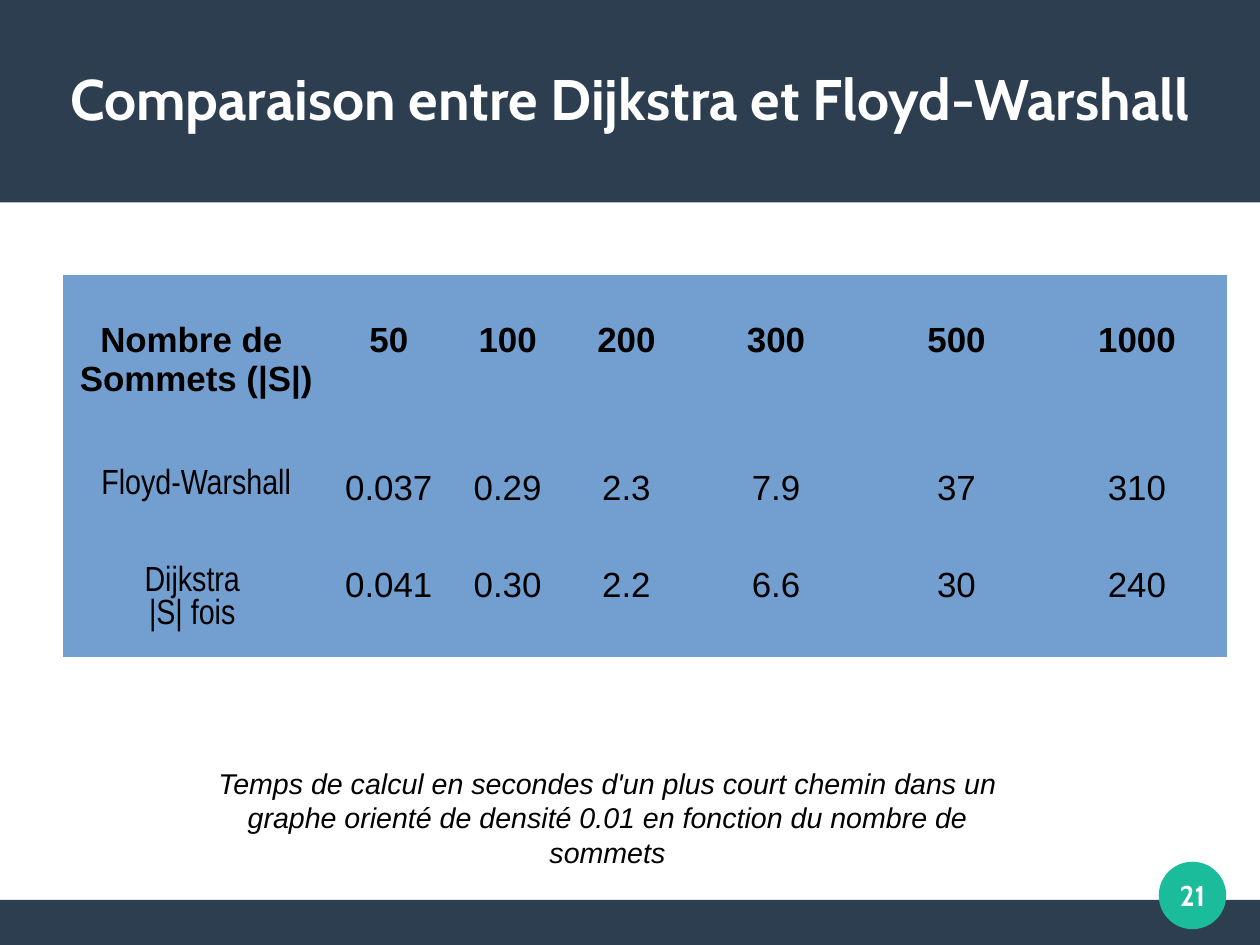
from pptx import Presentation
from pptx.dml.color import RGBColor
from pptx.enum.shapes import MSO_SHAPE
from pptx.enum.text import MSO_ANCHOR, MSO_AUTO_SIZE, PP_ALIGN
from pptx.oxml.ns import qn
from pptx.util import Cm, Pt

RECTANGLE, OVAL = MSO_SHAPE.RECTANGLE, MSO_SHAPE.OVAL
TOP, MIDDLE = MSO_ANCHOR.TOP, MSO_ANCHOR.MIDDLE
CENTER = PP_ALIGN.CENTER
FIT_SHAPE, NO_FIT = MSO_AUTO_SIZE.SHAPE_TO_FIT_TEXT, MSO_AUTO_SIZE.NONE

COLORS = {"navy": "2C3E50", "green": "1ABC9C", "blue": "729FCF",
          "white": "FFFFFF", "black": "000000"}
NO_TABLE_STYLE = "{2D5ABB26-0587-4C30-8999-92F81FD0307C}"

TITLE = {"name": "Cabin", "size": Pt(36), "bold": True, "color": "white"}
PAGE = {**TITLE, "size": Pt(18)}
VALUE = {"name": "Arial", "size": Pt(22), "bold": False, "color": "black"}
HEADER = {**VALUE, "bold": True}
ALGORITHM = {**VALUE, "name": "Arial Narrow"}
CAPTION = {**VALUE, "size": Pt(18), "italic": True}

FLUSH = dict.fromkeys(
    ("margin_left", "margin_right", "margin_top", "margin_bottom"), 0)

TIMINGS = [
    ["Nombre de \nSommets (|S|)", "50", "100", "200", "300", "500", "1000"],
    ["Floyd-Warshall", "0.037", "0.29", "2.3", "7.9", "37", "310"],
    ["Dijkstra \n|S| fois ", "0.041", "0.30", "2.2", "6.6", "30", "240"],
]
COLUMN_WIDTHS = [5.92] + [2.64] * 3 + [4.01] * 3
ROW_HEIGHTS = [4.17, 2.16, 2.16]


def apply(target, values):
    for key, value in values.items():
        setattr(target, key, value)


class SlideBuilder:
    def __init__(self, slide):
        self.slide = slide

    def set_text(self, frame, text, style):
        """Fill a text frame with centred paragraphs, one per line of text."""
        frame.text = text
        for paragraph in frame.paragraphs:
            paragraph.alignment = CENTER
            for run in paragraph.runs:
                apply(run.font, {key: value for key, value in style.items() if key != "color"})
                run.font.color.rgb = RGBColor.from_string(COLORS[style["color"]])

    def shape(self, kind, box, color):
        shape = self.slide.shapes.add_shape(kind, *map(Cm, box))
        shape.shadow.inherit = False
        shape.fill.solid()
        shape.fill.fore_color.rgb = RGBColor.from_string(COLORS[color])
        shape.line.fill.background()
        return shape

    def title(self, box, text):
        """Place the title placeholder in front of the shapes drawn so far."""
        title = self.slide.shapes.title
        apply(title, dict(zip(("left", "top", "width", "height"), map(Cm, box))))
        apply(title.text_frame, {**FLUSH, "vertical_anchor": MIDDLE,
                                 "word_wrap": True, "auto_size": NO_FIT})
        self.set_text(title.text_frame, text, TITLE)
        title.element.getparent().append(title.element)

    def page_badge(self, box, number):
        badge = self.shape(OVAL, box, "green")
        apply(badge.text_frame, {**FLUSH, "vertical_anchor": MIDDLE, "word_wrap": False})
        self.set_text(badge.text_frame, number, PAGE)

    def table(self, left, top, rows):
        frame = self.slide.shapes.add_table(
            len(rows), len(rows[0]), Cm(left), Cm(top),
            Cm(sum(COLUMN_WIDTHS)), Cm(sum(ROW_HEIGHTS)))
        table = frame.table
        apply(table, {"first_row": False, "horz_banding": False})
        frame.element.find(".//" + qn("a:tableStyleId")).text = NO_TABLE_STYLE
        for column, width in zip(table.columns, COLUMN_WIDTHS):
            column.width = Cm(width)
        for row, height in zip(table.rows, ROW_HEIGHTS):
            row.height = Cm(height)
        for r, row in enumerate(rows):
            for c, text in enumerate(row):
                style = HEADER if r == 0 else ALGORITHM if c == 0 else VALUE
                cell = table.cell(r, c)
                apply(cell, {"vertical_anchor": TOP,
                             "margin_top": Cm(1.02 if r == 0 else 0.13)})
                cell.fill.solid()
                cell.fill.fore_color.rgb = RGBColor.from_string(COLORS["blue"])
                self.set_text(cell.text_frame, text, style)

    def caption(self, box, text):
        frame = self.slide.shapes.add_textbox(*map(Cm, box)).text_frame
        apply(frame, {"word_wrap": True, "auto_size": FIT_SHAPE})
        self.set_text(frame, text, CAPTION)


def main():
    presentation = Presentation()
    apply(presentation, {"slide_width": Cm(28), "slide_height": Cm(21)})
    title_only = presentation.slide_layouts[5]
    builder = SlideBuilder(presentation.slides.add_slide(title_only))

    builder.shape(RECTANGLE, (0, 20, 28, 1), "navy")
    builder.shape(RECTANGLE, (0, 0, 28, 4.5), "navy")
    builder.title((1, 0.84, 26, 2.67), "Comparaison entre Dijkstra et Floyd-Warshall")
    builder.table(1.4, 6.12, TIMINGS)
    builder.caption((4.6, 16.9, 17.8, 2.92),
                    "Temps de calcul en secondes d'un plus court chemin dans un graphe "
                    "orienté de densité 0.01 en fonction du nombre de sommets")
    builder.page_badge((25.75, 19.15, 1.5, 1.5), "21")
    presentation.save("out.pptx")


if __name__ == "__main__":
    main()
